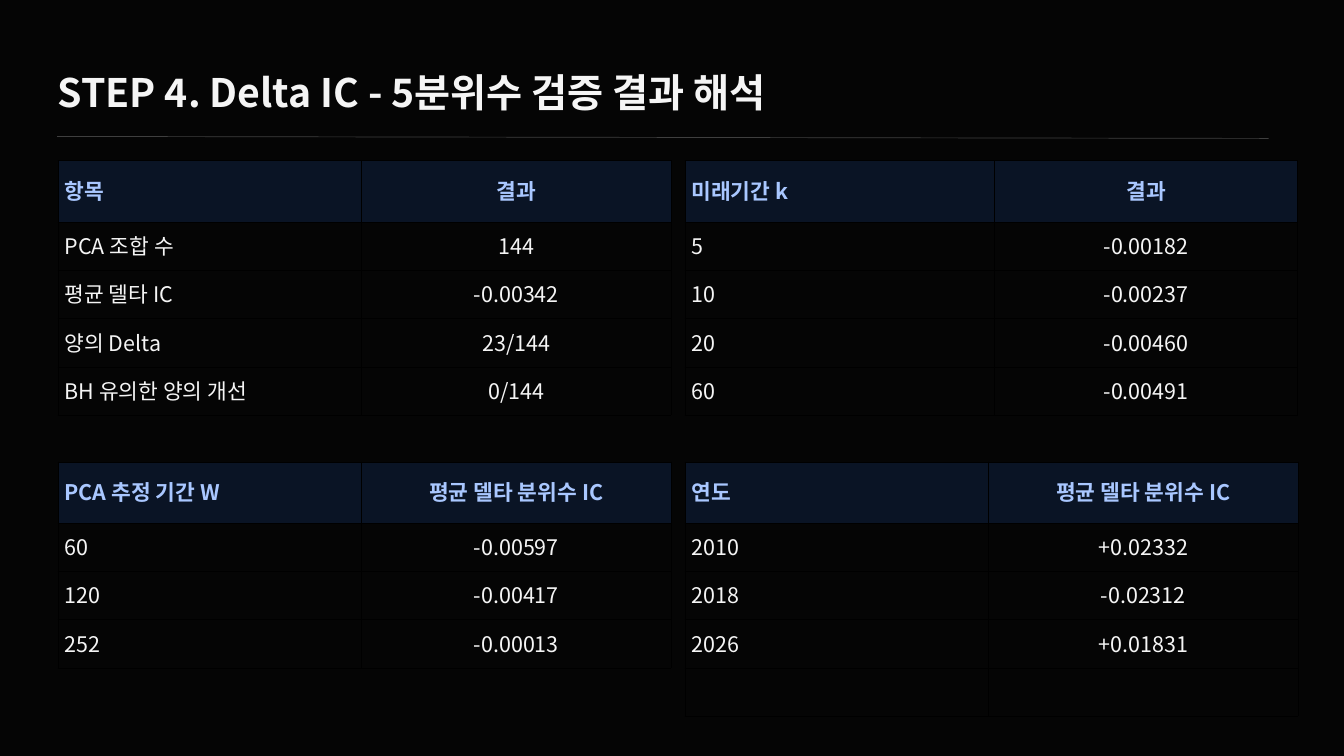
from lxml.etree import SubElement
from pptx import Presentation
from pptx.dml.color import RGBColor
from pptx.enum.shapes import MSO_CONNECTOR as Connector
from pptx.enum.text import MSO_ANCHOR as Anchor, PP_ALIGN as Align
from pptx.oxml.ns import qn
from pptx.util import Inches, Pt

FONT = "Noto Sans CJK KR"
BACKGROUND, HEADER_FILL = "050505", "0A1425"
TEXT, HEADER_TEXT = "F5F5F5", "A9C7FF"
RULE, BORDER = "3F3F3F", "000000"


def color(value):
    return RGBColor.from_string(value)


def write(paragraph, text, size, font_color, bold, spacing):
    paragraph.line_spacing = Pt(spacing)
    run = paragraph.add_run()
    run.text = text
    run.font.size = Pt(size)
    run.font.bold = bold
    run.font.color.rgb = color(font_color)
    run.font.name = FONT
    SubElement(run.font._element, qn("a:ea"), typeface=FONT)


presentation = Presentation()
presentation.slide_width = Inches(20)
presentation.slide_height = Inches(11.25)
slide = presentation.slides.add_slide(presentation.slide_layouts[6])
slide.background.fill.solid()
slide.background.fill.fore_color.rgb = color(BACKGROUND)

# Rule under the title
rule = slide.shapes.add_connector(
    Connector.STRAIGHT, Inches(0.85), Inches(2.03), Inches(18.88), Inches(2.06))
rule.line.color.rgb = color(RULE)
rule.line.width = Pt(0.75)
SubElement(rule._element.spPr, qn("a:effectLst"))

# Title
title = slide.shapes.add_textbox(Inches(0.86), Inches(1.04), Inches(11.53), Inches(0.68))
frame = title.text_frame
frame.word_wrap = True
frame.margin_left = frame.margin_right = frame.margin_top = frame.margin_bottom = 0
write(frame.paragraphs[0], "STEP 4. Delta IC - 5분위수 검증 결과 해석", 42, TEXT, True, 48.4)

# Result tables: left, top, column widths, rows with the header first
LEFT, RIGHT, TOP, BOTTOM = 0.86, 10.19, 2.39, 6.87
tables = [
    (LEFT, TOP, (4.52, 4.61), [
        ("항목", "결과"), ("PCA 조합 수", "144"), ("평균 델타 IC", "-0.00342"),
        ("양의 Delta", "23/144"), ("BH 유의한 양의 개선", "0/144")]),
    (RIGHT, TOP, (4.61, 4.51), [
        ("미래기간 k", "결과"), ("5", "-0.00182"), ("10", "-0.00237"),
        ("20", "-0.00460"), ("60", "-0.00491")]),
    (LEFT, BOTTOM, (4.52, 4.61), [
        ("PCA 추정 기간 W", "평균 델타 분위수 IC"), ("60", "-0.00597"),
        ("120", "-0.00417"), ("252", "-0.00013")]),
    (RIGHT, BOTTOM, (4.52, 4.61), [
        ("연도", "평균 델타 분위수 IC"), ("2010", "+0.02332"),
        ("2018", "-0.02312"), ("2026", "+0.01831"), ("", "")]),
]
HEADER_HEIGHT, ROW_HEIGHT = 0.91, 0.72

for left, top, widths, rows in tables:
    height = HEADER_HEIGHT + ROW_HEIGHT * (len(rows) - 1)
    table = slide.shapes.add_table(
        len(rows), len(widths), Inches(left), Inches(top),
        Inches(sum(widths)), Inches(height)).table
    table.horz_banding = False
    for column, width in zip(table.columns, widths):
        column.width = Inches(width)

    for row_index, values in enumerate(rows):
        is_header = row_index == 0
        table.rows[row_index].height = Inches(HEADER_HEIGHT if is_header else ROW_HEIGHT)
        for column_index, value in enumerate(values):
            cell = table.cell(row_index, column_index)
            cell.vertical_anchor = Anchor.MIDDLE
            cell.margin_left = cell.margin_right = Inches(0.1)
            cell.margin_top = cell.margin_bottom = Inches(0.1)

            # Borders come before the fill in the cell properties
            properties = cell._tc.get_or_add_tcPr()
            for side in ("lnL", "lnR", "lnT", "lnB"):
                line = SubElement(properties, qn(f"a:{side}"), w=str(Pt(0.37)))
                fill = SubElement(line, qn("a:solidFill"))
                SubElement(fill, qn("a:srgbClr"), val=BORDER)
            cell.fill.solid()
            cell.fill.fore_color.rgb = color(HEADER_FILL if is_header else BACKGROUND)

            if value:
                paragraph = cell.text_frame.paragraphs[0]
                paragraph.alignment = Align.CENTER if column_index else Align.LEFT
                write(paragraph, value, 23, HEADER_TEXT if is_header else TEXT,
                      is_header, 31.7)

presentation.save("out.pptx")
